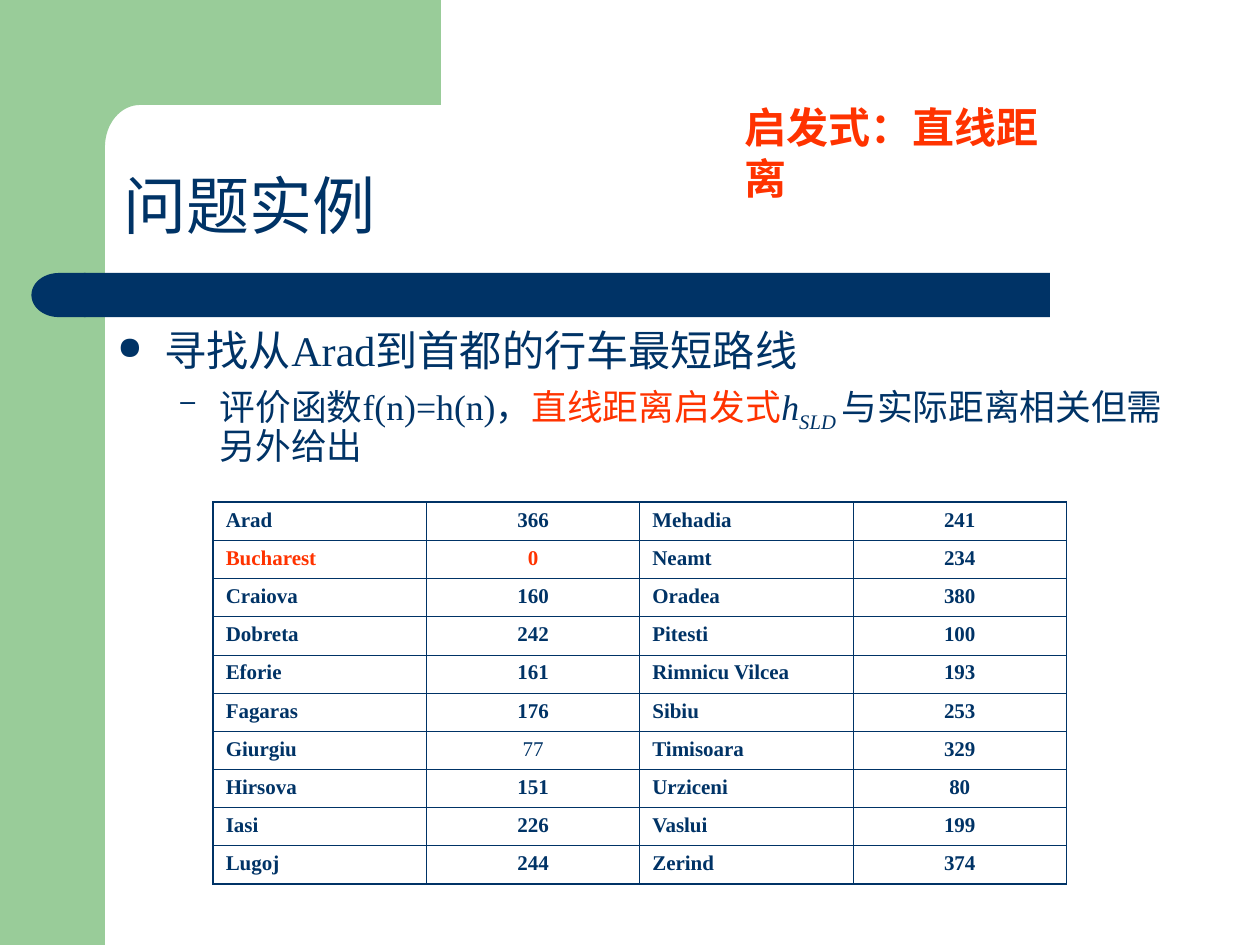
from math import cos, pi, sin

from lxml import etree
from pptx import Presentation
from pptx.dml.color import RGBColor
from pptx.enum.shapes import MSO_SHAPE
from pptx.enum.text import MSO_ANCHOR, MSO_AUTO_SIZE, PP_ALIGN
from pptx.oxml.ns import qn
from pptx.util import Pt

RECT, ROUNDED, DELAY = (MSO_SHAPE.RECTANGLE, MSO_SHAPE.ROUNDED_RECTANGLE,
                        MSO_SHAPE.FLOWCHART_DELAY)
TOP, BOTTOM = MSO_ANCHOR.TOP, MSO_ANCHOR.BOTTOM
LEFT, CENTER = PP_ALIGN.LEFT, PP_ALIGN.CENTER
FIT_SHAPE = MSO_AUTO_SIZE.SHAPE_TO_FIT_TEXT
COLORS = {"green": "99CC99", "navy": "003366", "red": "FF3300"}
SERIF, SANS = "Times New Roman", "Arial"
OUTER_LINE, INNER_LINE = 1.08, 0.45


class SlideBuilder:
    def __init__(self, slide):
        self.slide = slide

    def paint(self, shape, color):
        shape.shadow.inherit = False
        shape.fill.solid()
        shape.fill.fore_color.rgb = RGBColor.from_string(COLORS[color])
        shape.line.fill.background()

    def shape(self, kind, box, color):
        shape = self.slide.shapes.add_shape(kind, *map(Pt, box))
        self.paint(shape, color)
        return shape

    def outline(self, points, color):
        points = [(Pt(x), Pt(y)) for x, y in points]
        builder = self.slide.shapes.build_freeform(*points[0])
        builder.add_line_segments(points[1:], close=True)
        self.paint(builder.convert_to_shape(), color)

    def style(self, font, size, color="navy", face=SERIF, bold=None):
        font.size, font.name, font.bold = Pt(size), face, bold
        font.color.rgb = RGBColor.from_string(COLORS[color])

    def text_box(self, box, anchor=TOP, wrap=True):
        frame = self.slide.shapes.add_textbox(*map(Pt, box)).text_frame
        frame.word_wrap, frame.vertical_anchor = wrap, anchor
        return frame

    def bullet(self, paragraph, mark, margin, hanging, before, level=0):
        paragraph.level = level
        paragraph.line_spacing, paragraph.space_before = 0.9, Pt(before)
        props = paragraph._p.get_or_add_pPr()
        props.set("marL", str(Pt(margin)))
        props.set("indent", str(Pt(-hanging)))
        bullet_color = etree.SubElement(props, qn("a:buClr"))
        etree.SubElement(bullet_color, qn("a:srgbClr"), val=COLORS["navy"])
        etree.SubElement(props, qn("a:buSzPct"), val="75000")
        etree.SubElement(props, qn("a:buChar"), char=mark)

    def run(self, paragraph, text, size, color="navy", italic=False, subscript=False):
        run = paragraph.add_run()
        run.text = text
        self.style(run.font, size, color)
        run.font.italic = italic
        if subscript:
            run.font._element.set("baseline", "-25000")

    def borders(self, cell, widths):
        props = cell._tc.get_or_add_tcPr()
        for position, (side, width) in enumerate(widths.items()):
            line = etree.Element(qn(f"a:ln{side}"), w=str(Pt(width)))
            fill = etree.SubElement(line, qn("a:solidFill"))
            etree.SubElement(fill, qn("a:srgbClr"), val=COLORS["navy"])
            props.insert(position, line)

    def table(self, rows, box, highlighted, light):
        last_row, last_col = len(rows) - 1, len(rows[0]) - 1
        table = self.slide.shapes.add_table(
            len(rows), len(rows[0]), *map(Pt, box)).table
        table.first_row = table.horz_banding = False
        for r, values in enumerate(rows):
            for c, value in enumerate(values):
                cell = table.cell(r, c)
                cell.fill.background()
                cell.text = str(value)
                paragraph = cell.text_frame.paragraphs[0]
                paragraph.alignment = CENTER if c % 2 else LEFT
                paragraph.space_before = Pt(3)
                city = values[c - c % 2]
                self.style(paragraph.font, 12, "red" if city == highlighted else "navy",
                           bold=value != light)
                edges = {"L": c == 0, "R": c == last_col,
                         "T": r == 0, "B": r == last_row}
                self.borders(cell, {side: OUTER_LINE if outer else INNER_LINE
                                    for side, outer in edges.items()})


def main():
    prs = Presentation()
    prs.slide_width, prs.slide_height = Pt(720), Pt(540)
    page = SlideBuilder(prs.slides.add_slide(prs.slide_layouts[6]))

    # Green side band and top block with a rounded inner corner
    page.shape(RECT, (0, 0, 60, 540), "green")
    steps = 16
    angles = [pi / 2 * i / steps for i in range(steps + 1)]
    corner = [(80 - 20 * sin(a), 84 - 24 * cos(a)) for a in angles]
    page.outline([(252, 0), (252, 60), *corner, (60, 92), (36, 92), (36, 0)], "green")

    # Navy bar with a round left end
    bar = page.shape(ROUNDED, (48, 156, 552, 25.2), "navy")
    bar.adjustments[0] = 0
    bar_end = page.shape(DELAY, (18, 156, 31, 25.2), "navy")
    bar_end._element.spPr.find(qn("a:xfrm")).set("flipH", "1")

    # Title
    title = page.text_box((63.4, 92, 582, 50.4), BOTTOM).paragraphs[0]
    title.text = "问题实例"
    title.line_spacing = 0.9
    page.style(title.font, 36, face=SANS)

    # Goal and evaluation function
    body = page.text_box((60, 185, 612, 96.5))
    goal = body.paragraphs[0]
    goal.text = "寻找从Arad到首都的行车最短路线"
    page.bullet(goal, "●", 27, 27, 6.5)
    page.style(goal.font, 24.1)
    evaluation = body.add_paragraph()
    page.bullet(evaluation, "–", 58.5, 22.5, 5.5, level=1)
    page.run(evaluation, "评价函数f(n)=h(n)，", 20.4)
    page.run(evaluation, "直线距离启发式", 20.4, "red")
    page.run(evaluation, "h", 20.4, italic=True)
    page.run(evaluation, "SLD ", 20.4, italic=True, subscript=True)
    page.run(evaluation, "与实际距离相关但需另外给出", 20.4)

    # Straight-line distances, two cities per row
    distances = [
        ("Arad", 366, "Mehadia", 241),
        ("Bucharest", 0, "Neamt", 234),
        ("Craiova", 160, "Oradea", 380),
        ("Dobreta", 242, "Pitesti", 100),
        ("Eforie", 161, "Rimnicu Vilcea", 193),
        ("Fagaras", 176, "Sibiu", 253),
        ("Giurgiu", 77, "Timisoara", 329),
        ("Hirsova", 151, "Urziceni", 80),
        ("Iasi", 226, "Vaslui", 199),
        ("Lugoj", 244, "Zerind", 374),
    ]
    page.table(distances, (121.8, 287, 487.6, 218), highlighted="Bucharest", light=77)

    # Heuristic label
    heuristic_frame = page.text_box((418.5, 54.7, 206, 36), wrap=False)
    heuristic_frame.auto_size = FIT_SHAPE
    heuristic = heuristic_frame.paragraphs[0]
    heuristic.text = "启发式：直线距离"
    page.style(heuristic.font, 24, "red", bold=True)

    prs.save("out.pptx")


if __name__ == "__main__":
    main()
